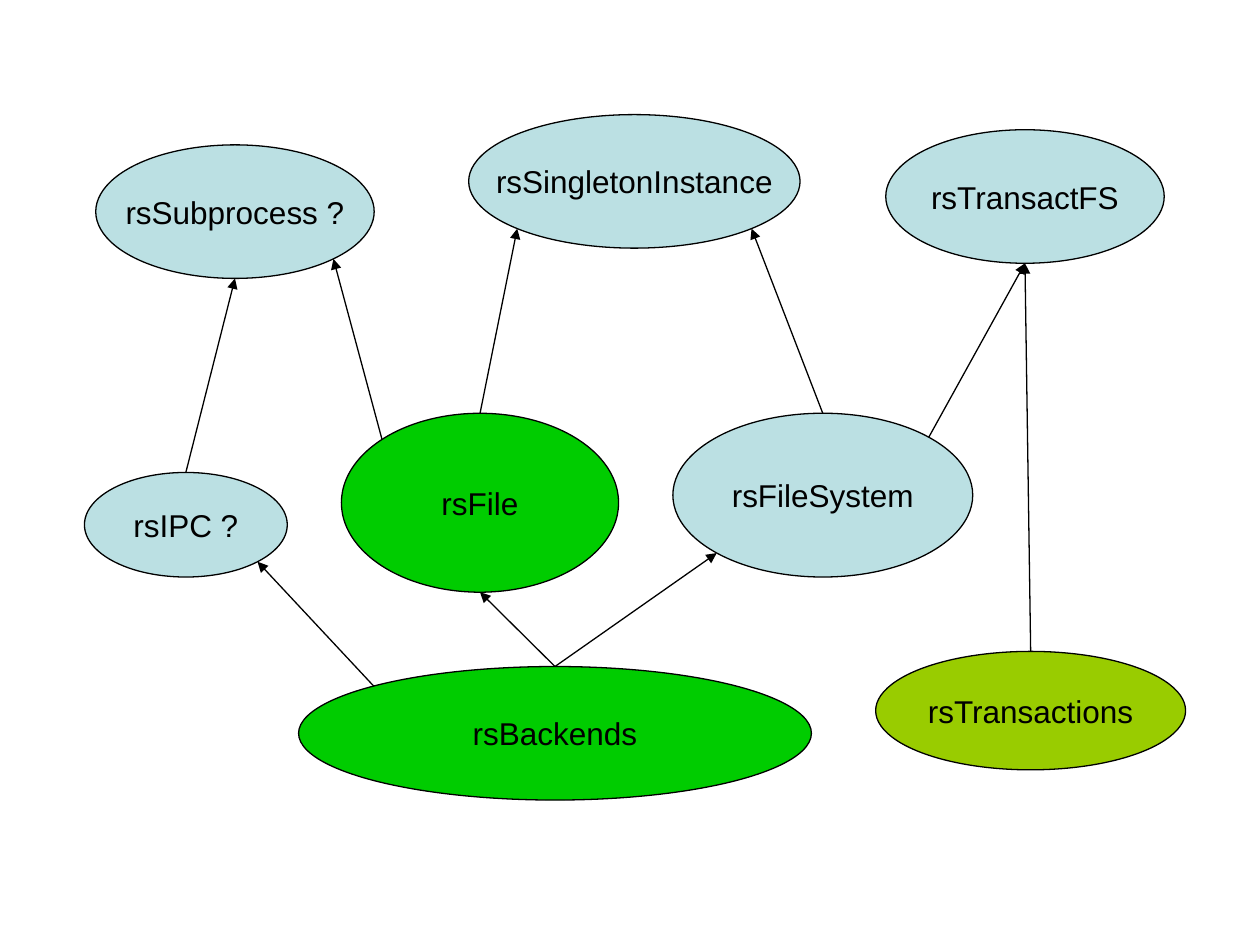
from math import sqrt

from lxml.etree import SubElement
from pptx import Presentation
from pptx.dml.color import RGBColor
from pptx.enum.shapes import MSO_CONNECTOR as Connector, MSO_SHAPE as Shape
from pptx.enum.text import MSO_ANCHOR as Anchor, PP_ALIGN as Align
from pptx.oxml.ns import qn
from pptx.util import Inches, Pt

COLORS = {"ink": "000000", "done": "00CC00", "started": "99CC00", "planned": "BBE0E3"}

MODULES = {
    "rsFile": ("done", 2.71, 3.28, 2.2, 1.42),
    "rsFileSystem": ("planned", 5.34, 3.28, 2.38, 1.3),
    "rsBackends": ("done", 2.37, 5.29, 4.07, 1.06),
    "rsSingletonInstance": ("planned", 3.72, 0.91, 2.63, 1.06),
    "rsTransactions": ("started", 6.95, 5.17, 2.46, 0.94),
    "rsTransactFS": ("planned", 7.03, 1.03, 2.21, 1.06),
    "rsIPC ?": ("planned", 0.67, 3.75, 1.61, 0.83),
    "rsSubprocess ?": ("planned", 0.76, 1.15, 2.21, 1.06),
}

DIAGONAL = sqrt(0.5)
SITES = {
    "top": (0, -1),
    "top left": (-DIAGONAL, -DIAGONAL),
    "top right": (DIAGONAL, -DIAGONAL),
    "bottom": (0, 1),
    "bottom left": (-DIAGONAL, DIAGONAL),
    "bottom right": (DIAGONAL, DIAGONAL),
}

DEPENDENCIES = [
    ("rsIPC ?", "top", "rsSubprocess ?", "bottom"),
    ("rsFile", "top left", "rsSubprocess ?", "bottom right"),
    ("rsBackends", "top", "rsFile", "bottom"),
    ("rsBackends", "top left", "rsIPC ?", "bottom right"),
    ("rsTransactions", "top", "rsTransactFS", "bottom"),
    ("rsBackends", "top", "rsFileSystem", "bottom left"),
    ("rsFile", "top", "rsSingletonInstance", "bottom left"),
    ("rsFileSystem", "top", "rsSingletonInstance", "bottom right"),
    ("rsFileSystem", "top right", "rsTransactFS", "bottom"),
]


def color(name):
    """Return the named colour."""
    return RGBColor.from_string(COLORS[name])


def style_line(line):
    """Give an outline or an arrow the thin dark stroke."""
    line.color.rgb = color("ink")
    line.width = Pt(0.75)


def add_module(slide, label, status, *box):
    """Add a labelled ellipse coloured by its status."""
    module = slide.shapes.add_shape(Shape.OVAL, *map(Inches, box))
    module.shadow.inherit = False
    module.fill.solid()
    module.fill.fore_color.rgb = color(status)
    style_line(module.line)
    frame = module.text_frame
    frame.text = label
    frame.word_wrap = False
    frame.vertical_anchor = Anchor.MIDDLE
    paragraph = frame.paragraphs[0]
    paragraph.alignment = Align.CENTER
    font = paragraph.runs[0].font
    font.name = "Arial"
    font.size = Pt(18)
    font.color.rgb = color("ink")
    return module


def rim_point(module, site):
    """Return the point of an ellipse's rim at the given site."""
    across, down = SITES[site]
    return (
        round(module.left + module.width * (1 + across) / 2),
        round(module.top + module.height * (1 + down) / 2),
    )


def add_dependency(slide, user, user_site, used, used_site):
    """Draw an arrow from a module to the one it depends on."""
    start, end = rim_point(user, user_site), rim_point(used, used_site)
    arrow = slide.shapes.add_connector(Connector.STRAIGHT, *start, *end)
    if user_site == "top":
        arrow.begin_connect(user, 0)
    style_line(arrow.line)
    SubElement(arrow.line._get_or_add_ln(), qn("a:tailEnd"), type="triangle")
    SubElement(arrow._element.spPr, qn("a:effectLst"))


def main():
    """Build the module dependency slide."""
    deck = Presentation()
    deck.slide_width, deck.slide_height = Inches(10), Inches(7.5)
    slide = deck.slides.add_slide(deck.slide_layouts[6])
    modules = {
        label: add_module(slide, label, *details)
        for label, details in MODULES.items()
    }
    for user, user_site, used, used_site in DEPENDENCIES:
        add_dependency(slide, modules[user], user_site, modules[used], used_site)
    deck.save("out.pptx")


if __name__ == "__main__":
    main()
